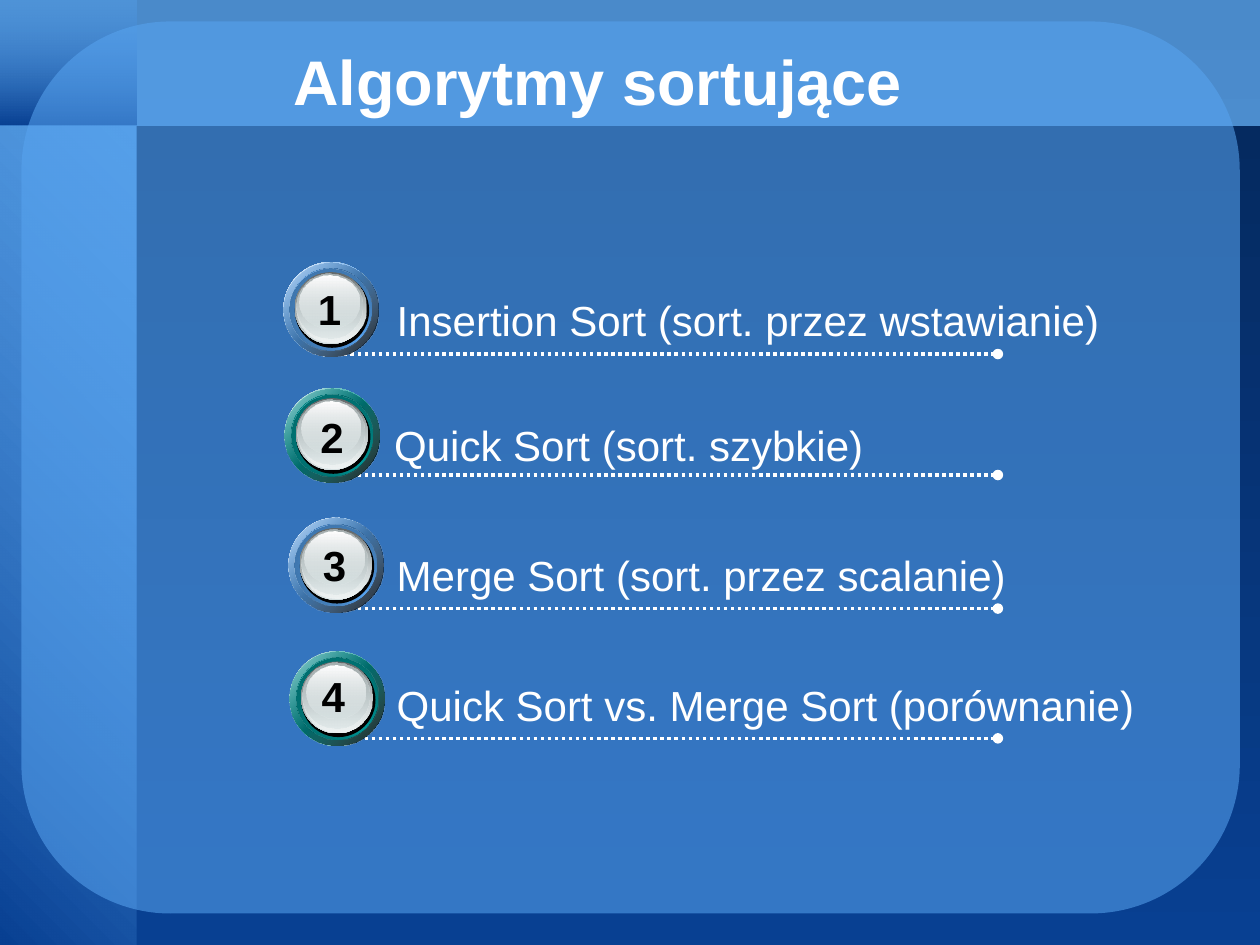
from dataclasses import dataclass

from lxml.etree import SubElement
from pptx import Presentation
from pptx.dml.color import RGBColor
from pptx.enum.dml import MSO_LINE_DASH_STYLE as Dash
from pptx.enum.shapes import MSO_CONNECTOR as Connector
from pptx.enum.shapes import MSO_SHAPE as Preset
from pptx.enum.text import MSO_ANCHOR as Anchor
from pptx.enum.text import MSO_AUTO_SIZE as AutoSize
from pptx.enum.text import PP_ALIGN as Align
from pptx.oxml.ns import qn
from pptx.util import Inches, Pt


@dataclass(frozen=True)
class Theme:
    font: str = "Arial"
    title_size: int = 36
    body_size: int = 24
    white: str = "FFFFFF"
    black: str = "000000"
    sky: str = "58A4F0"
    steel: str = "4A8ACA"
    royal: str = "084092"
    navy: str = "052A60"
    gloss: str = "FEFEFE"
    silver: str = "D6E1E2"
    pale: str = "EFF3F3"
    pewter: str = "A8B1B2"
    slate: str = "626768"
    blue_ring: tuple = ("58A4F0", "2F5881", "376797")
    teal_ring: tuple = ("009999", "005252", "006060")


THEME = Theme()

TOPICS = [
    ("Insertion Sort (sort. przez wstawianie)", (3.05, 2.29, 5.87), 2.81,
     (2.25, 2.08), (0.17, 0.12)),
    ("Quick Sort (sort. szybkie)", (3.03, 3.28, 4.02), 3.77,
     (2.26, 3.08), (0.18, 0.14)),
    ("Merge Sort (sort. przez scalanie)", (3.05, 4.31, 5.13), 4.83,
     (2.29, 4.11), (0.17, 0.12)),
    ("Quick Sort vs. Merge Sort (porównanie)", (3.05, 5.34, 6.15), 5.86,
     (2.3, 5.17), (0.15, 0.1)),
]


def set_gradient(fill, owner, stops, angle):
    fill.gradient()
    gradient = owner.xpath(".//a:gradFill")[0]
    for child in list(gradient):
        gradient.remove(child)
    stop_list = SubElement(gradient, qn("a:gsLst"))
    for position, color, opacity in stops:
        stop = SubElement(stop_list, qn("a:gs"), pos=str(position * 1000))
        tone = SubElement(stop, qn("a:srgbClr"), val=color)
        if opacity < 100:
            SubElement(tone, qn("a:alpha"), val=str(opacity * 1000))
    SubElement(gradient, qn("a:lin"), ang=str(angle * 60000), scaled="0")


def add_filled(shapes, preset, box, stops, angle=90):
    shape = shapes.add_shape(preset, *map(Inches, box))
    shape.shadow.inherit = False
    shape.line.fill.background()
    if len(stops) > 1:
        set_gradient(shape.fill, shape.element, stops, angle)
        return shape
    _, color, opacity = stops[0]
    shape.fill.solid()
    shape.fill.fore_color.rgb = RGBColor.from_string(color)
    if opacity < 100:
        tone = shape.element.spPr.find(qn("a:solidFill"))[0]
        SubElement(tone, qn("a:alpha"), val=str(opacity * 1000))
    return shape


def write_run(paragraph, text, size, color, bold=False):
    run = paragraph.add_run()
    run.text = text
    run.font.name = THEME.font
    run.font.size = Pt(size)
    run.font.bold = bold
    run.font.color.rgb = RGBColor.from_string(color)


def add_label(shapes, box, text, color, bold=False, align=Align.LEFT):
    label = shapes.add_textbox(*map(Inches, box))
    label.text_frame.word_wrap = True
    label.text_frame.auto_size = AutoSize.SHAPE_TO_FIT_TEXT
    paragraph = label.text_frame.paragraphs[0]
    paragraph.alignment = align
    write_run(paragraph, text, THEME.body_size, color, bold)


def add_backdrop(slide, box):
    t = THEME
    left, top, width, height = box
    side, band, margin = 1.08, 1, 0.17
    set_gradient(slide.background.fill, slide.element.cSld,
                 [(0, t.steel, 100), (100, t.sky, 100)], 90)
    add_filled(slide.shapes, Preset.RECTANGLE, (left, top, side, band),
               [(0, t.sky, 35), (100, t.royal, 100)])
    add_filled(slide.shapes, Preset.RECTANGLE,
               (left + side, top + band, width - side, height - band),
               [(0, t.navy, 100), (100, t.royal, 100)])
    add_filled(slide.shapes, Preset.RECTANGLE,
               (left, top + band, side, height - band),
               [(0, t.sky, 59), (100, t.royal, 100)], 135)
    panel = add_filled(slide.shapes, Preset.ROUNDED_RECTANGLE,
                       (left + margin, top + margin, 9.67, 7.08),
                       [(0, t.sky, 56)])
    panel.adjustments[0] = 0.167


def place_title(slide, box, text):
    title = slide.shapes.title
    title.element.getparent().append(title.element)
    title.left, title.top, title.width, title.height = map(Inches, box)
    frame = title.text_frame
    frame.auto_size = AutoSize.NONE
    frame.vertical_anchor = Anchor.MIDDLE
    frame.paragraphs[0].alignment = Align.CENTER
    write_run(frame.paragraphs[0], text, THEME.title_size, THEME.white, True)


def add_underline(slide, left, right, y):
    underline = slide.shapes.add_connector(
        Connector.STRAIGHT, Inches(left), Inches(y), Inches(right), Inches(y))
    underline.line.color.rgb = RGBColor.from_string(THEME.white)
    underline.line.width = Pt(2)
    underline.line.dash_style = Dash.ROUND_DOT
    properties = underline.element.spPr
    SubElement(properties.find(qn("a:ln")), qn("a:tailEnd"), type="oval")
    SubElement(properties, qn("a:effectLst"))


def add_badge(slide, origin, number, number_offset, ring):
    t = THEME
    left, top = origin
    bright, dark, shade = ring
    outer, inner = (0, 0, 0.75, 0.75), (0.05, 0.05, 0.65, 0.65)
    layers = [
        (outer, [(0, t.gloss, 100), (50, bright, 100), (100, t.gloss, 100)], 225),
        (outer, [(0, t.black, 90), (100, bright, 32)], 225),
        (inner, [(0, dark, 100), (50, bright, 100), (100, dark, 100)], 135),
        (inner, [(0, bright, 0), (100, shade, 100)], 225),
        ((0.09, 0.09, 0.59, 0.59), [(0, t.black, 100)], 90),
        ((0.09, 0.08, 0.57, 0.57), [(0, t.slate, 100), (100, t.silver, 100)], 90),
        ((0.1, 0.09, 0.56, 0.55), [(0, t.silver, 0), (100, t.pale, 100)], 90),
        ((0.1, 0.09, 0.53, 0.52), [(0, t.pewter, 100), (100, t.silver, 48)], 90),
        ((0.13, 0.11, 0.47, 0.42), [(0, t.gloss, 100), (100, t.silver, 38)], 90),
    ]
    badge = slide.shapes.add_group_shape()
    for (dx, dy, width, height), stops, angle in layers:
        add_filled(badge.shapes, Preset.OVAL,
                   (left + dx, top + dy, width, height), stops, angle)
    dx, dy = number_offset
    add_label(badge.shapes, (left + dx, top + dy, 0.39, 0.5), str(number),
              t.black, True, Align.CENTER)


def add_topics(slide, left, right):
    rings = (THEME.blue_ring, THEME.teal_ring)
    for index, topic in enumerate(TOPICS):
        text, text_box, underline_y, badge_origin, number_offset = topic
        add_underline(slide, left, right, underline_y)
        add_label(slide.shapes, (*text_box, 0.5), text, THEME.white)
        add_badge(slide, badge_origin, index + 1, number_offset, rings[index % 2])


def main():
    deck = Presentation()
    deck.slide_width, deck.slide_height = Inches(10), Inches(7.5)
    slide = deck.slides.add_slide(deck.slide_layouts.get_by_name("Title Only"))
    add_backdrop(slide, (0, 0, 10, 7.5))
    place_title(slide, (0.58, 0.33, 8.33, 0.62), "Algorytmy sortujące")
    add_topics(slide, 2.67, 7.92)
    deck.save("out.pptx")


if __name__ == "__main__":
    main()
